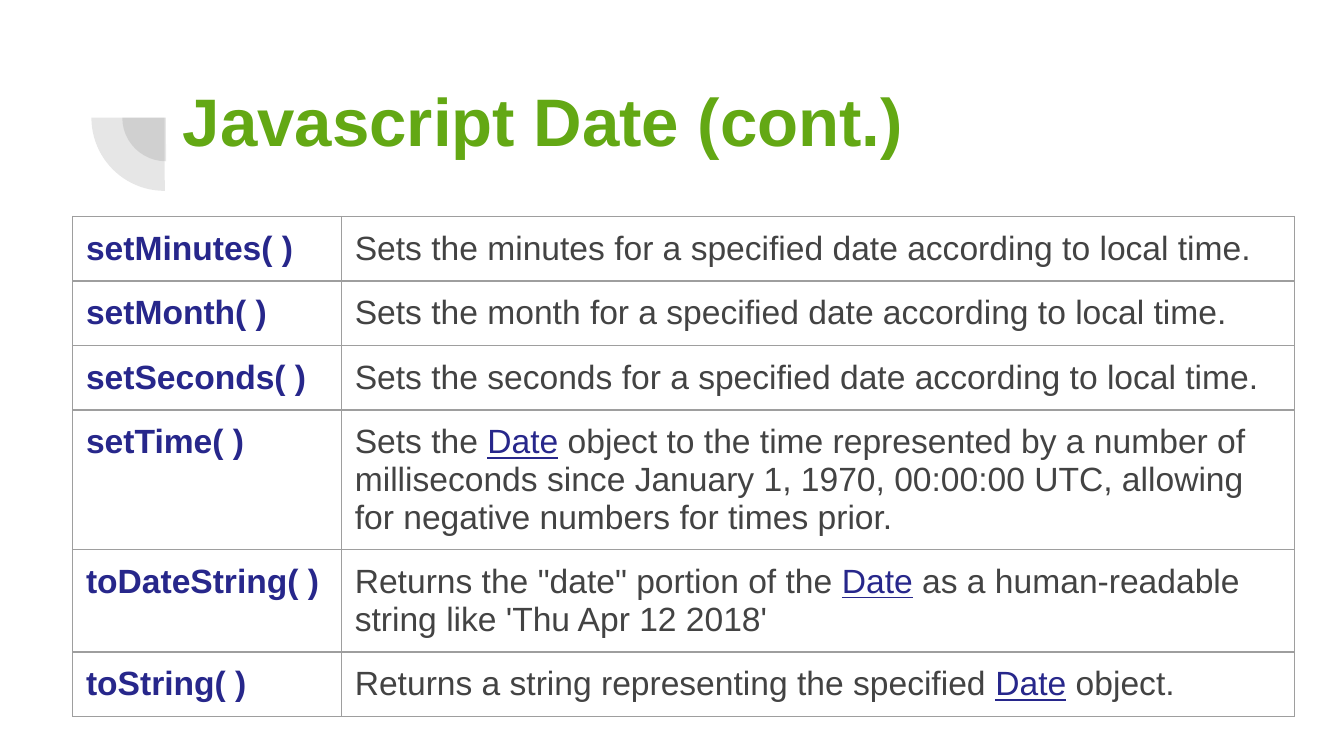
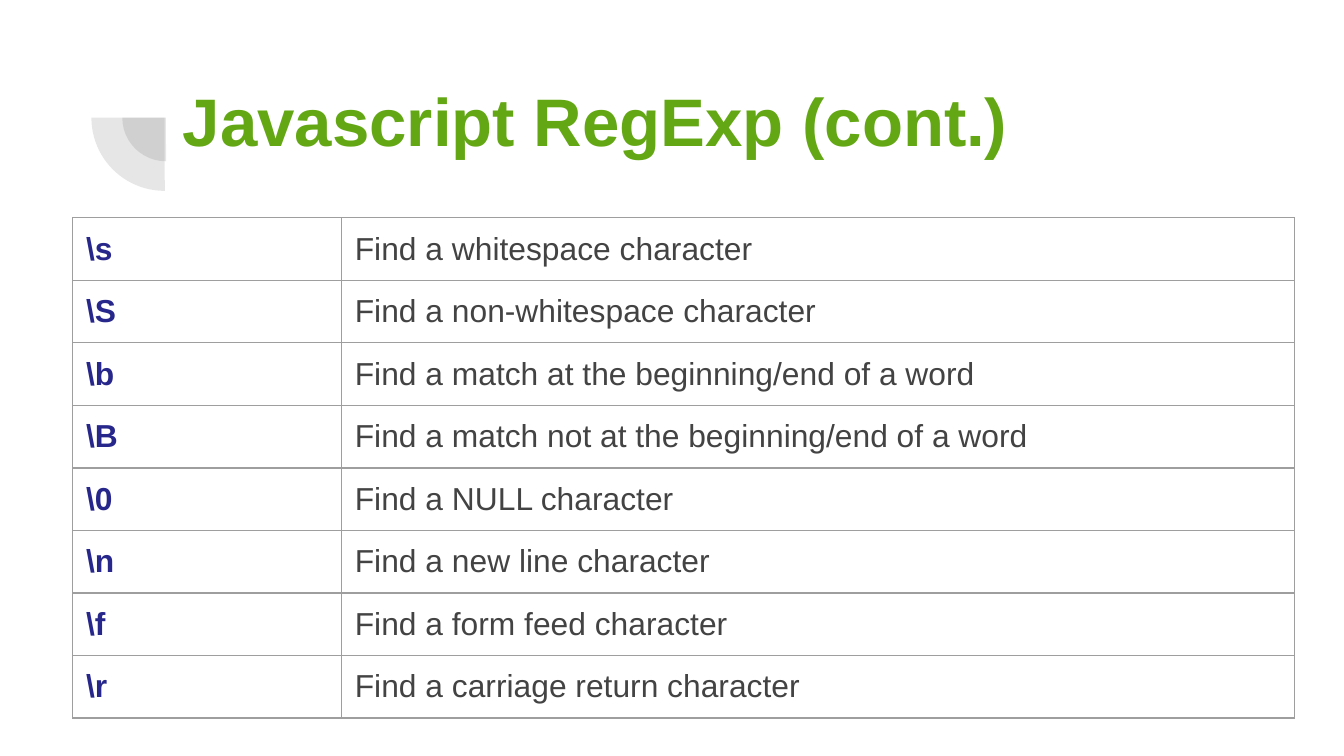
from lxml import etree
from pptx import Presentation
from pptx.dml.color import RGBColor
from pptx.enum.shapes import MSO_SHAPE
from pptx.enum.text import MSO_ANCHOR, MSO_AUTO_SIZE, PP_ALIGN
from pptx.oxml import parse_xml
from pptx.oxml.ns import qn
from pptx.util import Inches, Pt

PIE = MSO_SHAPE.PIE
TOP = MSO_ANCHOR.TOP
LEFT = PP_ALIGN.LEFT
FIXED = MSO_AUTO_SIZE.NONE

HUES = {"title": "63A814", "name": "27278B", "text": "434343",
        "pie": "424242", "line": "9E9E9E"}
FONT = "Arial"
PAD = Inches(0.1)
NS = "http://schemas.openxmlformats.org/drawingml/2006/main"
WIDTHS = (2, 7.09)
ROW = 0.43

# Each slide: title, table top, text size, rows; bars enclose a linked word
PAGES = [
    ("Javascript Date (cont.)", 1.61, 18, [
        ("setMinutes( )", "Sets the minutes for a specified date according to local time."),
        ("setMonth( )", "Sets the month for a specified date according to local time."),
        ("setSeconds( )", "Sets the seconds for a specified date according to local time."),
        ("setTime( )", "Sets the |Date| object to the time represented by a number of "
                       "milliseconds since January 1, 1970, 00:00:00 UTC, "
                       "allowing for negative numbers for times prior."),
        ("toDateString( )", "Returns the \"date\" portion of the |Date| as a "
                            "human-readable string like 'Thu Apr 12 2018'"),
        ("toString( )", "Returns a string representing the specified |Date| object."),
    ]),
    ("Javascript RegExp (cont.)", 1.62, 17, [
        (r"\s", "Find a whitespace character"),
        (r"\S", "Find a non-whitespace character"),
        (r"\b", "Find a match at the beginning/end of a word"),
        (r"\B", "Find a match not at the beginning/end of a word"),
        (r"\0", "Find a NULL character"),
        (r"\n", "Find a new line character"),
        (r"\f", "Find a form feed character"),
        (r"\r", "Find a carriage return character"),
    ]),
]


def write(para, text, size, hue, bold=False, line=False):
    """Add one run of text in the given format."""
    run = para.add_run()
    run.text = text
    font = run.font
    font.name, font.size, font.bold = FONT, Pt(size), bold
    font.color.rgb = RGBColor.from_string(HUES[hue])
    if line:
        font.underline = True


def frame(cell):
    """Pad a cell, draw its four borders and clear its fill."""
    cell.margin_left = cell.margin_right = PAD
    cell.margin_top = cell.margin_bottom = PAD
    props = cell._tc.get_or_add_tcPr()
    for side in "LRTB":
        props.append(parse_xml(
            f'<a:ln{side} xmlns:a="{NS}" w="{Pt(0.75)}"><a:solidFill>'
            f'<a:srgbClr val="{HUES["line"]}"/></a:solidFill></a:ln{side}>'))
    cell.fill.background()


# Widescreen, 16 to 9
deck = Presentation()
deck.slide_width, deck.slide_height = Inches(10), Inches(10 * 9 / 16)

for head, top, size, rows in PAGES:
    slide = deck.slides.add_slide(deck.slide_layouts[5])

    # Quarter circles beside the title
    group = slide.shapes.add_group_shape()
    for x, y, side in ((0.91, 0.55, 0.65), (0.68, 0.33, 1.09)):
        pie = group.shapes.add_shape(PIE, Inches(x), Inches(y), Inches(side), Inches(side))
        pie.rotation = 270
        pie.adjustments[0], pie.adjustments[1] = 107.93, 162
        pie.shadow.inherit = False
        pie.line.fill.background()
        pie.fill.solid()
        pie.fill.fore_color.rgb = RGBColor.from_string(HUES["pie"])
        tint = pie._element.spPr.find(f"{qn('a:solidFill')}/{qn('a:srgbClr')}")
        etree.SubElement(tint, qn("a:alpha"), val="13000")

    # Title
    title = slide.shapes.title
    title.left, title.top = Inches(1.26), Inches(0.49)
    title.width, title.height = Inches(7.73), Inches(0.73)
    box = title.text_frame
    box.word_wrap, box.auto_size, box.vertical_anchor = True, FIXED, TOP
    box.margin_left = box.margin_right = box.margin_top = box.margin_bottom = PAD
    para = box.paragraphs[0]
    para.alignment, para.space_after = LEFT, Pt(16)
    write(para, head, 36, "title", bold=True)

    # Table of names and meanings
    table = slide.shapes.add_table(
        len(rows), 2, Inches(0.54), Inches(top),
        Inches(sum(WIDTHS)), Inches(ROW * len(rows))).table
    table.first_row = table.horz_banding = False
    for col, width in zip(table.columns, WIDTHS):
        col.width = Inches(width)
    for r, (name, text) in enumerate(rows):
        table.rows[r].height = Inches(ROW)
        left, right = table.cell(r, 0), table.cell(r, 1)
        frame(left)
        frame(right)
        write(left.text_frame.paragraphs[0], name, size, "name", bold=True)
        for i, part in enumerate(text.split("|")):
            link = i % 2 == 1
            write(right.text_frame.paragraphs[0], part, size,
                  "name" if link else "text", line=link)

deck.save("out.pptx")
